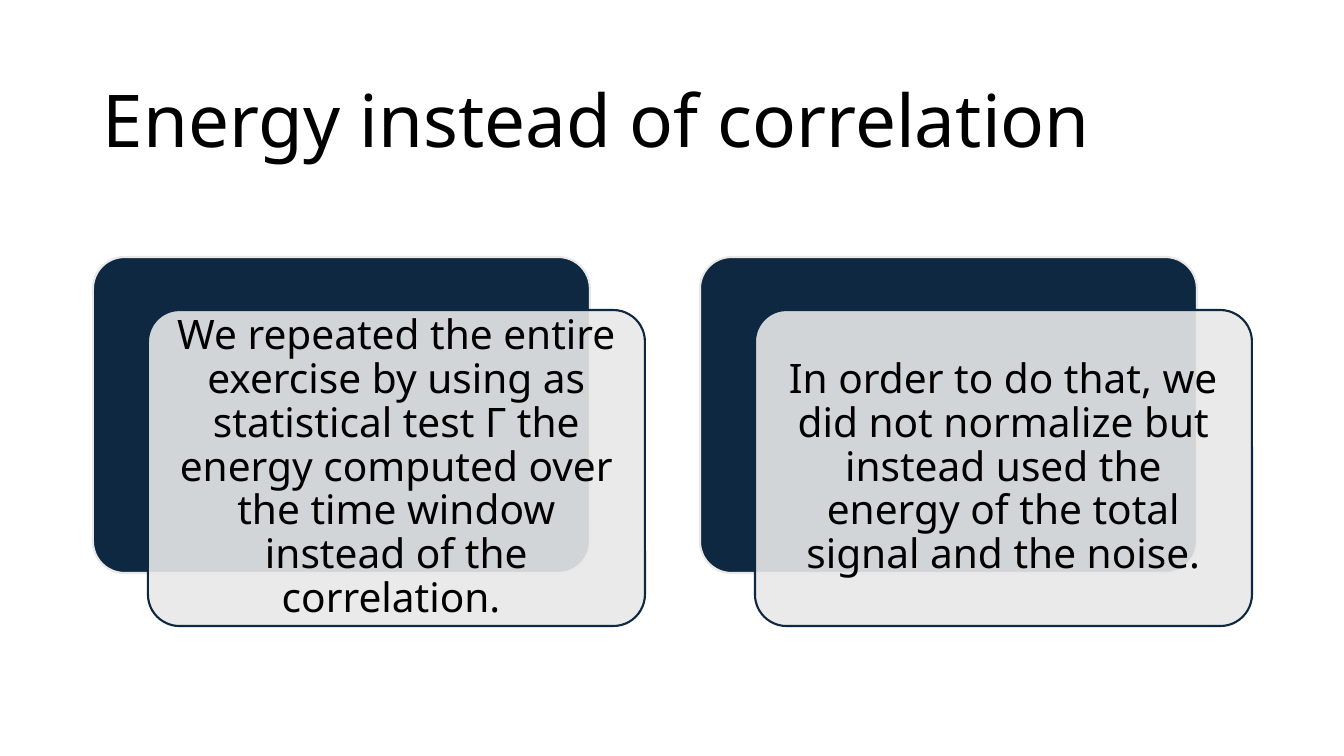
from lxml.etree import SubElement
from pptx import Presentation
from pptx.dml.color import RGBColor
from pptx.enum.shapes import MSO_SHAPE as Shape
from pptx.enum.text import MSO_ANCHOR as Anchor, PP_ALIGN as Align
from pptx.oxml.ns import qn
from pptx.util import Emu, Pt

TITLE = "Energy instead of correlation"
CARDS = [
    "We repeated the entire exercise by using as statistical test Γ the "
    "energy computed over the time window instead of the correlation. ",
    "In order to do that, we did not normalize but instead used the "
    "energy of the total signal and the noise.",
]

FONT = "Noto Sans"
BLACK = RGBColor(0x00, 0x00, 0x00)
NAVY = RGBColor(0x0E, 0x28, 0x41)
GREY = RGBColor(0xE8, 0xE8, 0xE8)

WIDE, HIGH = 1344, 756
LEFT, TOP = 93, 257
CARD_W, CARD_H = 497, 316
STEP = 607
SHIFT_X, SHIFT_Y = 55, 53
INSET = 9
PAD = 12


def px(n):
    return Emu(round(n * 914400 / 100.8))


def add_panel(slide, x, y, fill, line, alpha=100):
    """Draw one rounded card; alpha is its opacity in percent."""
    panel = slide.shapes.add_shape(
        Shape.ROUNDED_RECTANGLE, px(x), px(y), px(CARD_W), px(CARD_H))
    panel.adjustments[0] = 0.1
    panel.shadow.inherit = False
    panel.fill.solid()
    panel.fill.fore_color.rgb = fill
    panel.line.color.rgb = line
    panel.line.width = Pt(1.5)
    if alpha < 100:
        color = panel.fill._xPr.find(qn("a:solidFill"))[0]
        SubElement(color, qn("a:alpha"), val=str(alpha * 1000))


def add_text(slide, box, text, size, align, pad_x, pad_y):
    frame = slide.shapes.add_textbox(*map(px, box)).text_frame
    frame.word_wrap = True
    frame.vertical_anchor = Anchor.MIDDLE
    frame.margin_left = frame.margin_right = px(pad_x)
    frame.margin_top = frame.margin_bottom = px(pad_y)
    frame.text = text
    para = frame.paragraphs[0]
    para.alignment = align
    para.line_spacing = 0.9
    font = para.runs[0].font
    font.name = FONT
    font.size = Pt(size)
    font.color.rgb = BLACK


def main():
    deck = Presentation()
    deck.slide_width, deck.slide_height = px(WIDE), px(HIGH)
    slide = deck.slides.add_slide(deck.slide_layouts[6])
    add_text(slide, (LEFT, 61, 1159, 125), TITLE, 52, Align.LEFT, 10, 5)
    for i, text in enumerate(CARDS):
        x = LEFT + i * STEP
        front_x, front_y = x + SHIFT_X, TOP + SHIFT_Y
        add_panel(slide, x, TOP, NAVY, GREY)
        add_panel(slide, front_x, front_y, GREY, NAVY, alpha=90)
        box = (front_x + INSET, front_y + INSET,
               CARD_W - 2 * INSET, CARD_H - 2 * INSET)
        add_text(slide, box, text, 29, Align.CENTER, PAD, PAD)
    deck.save("out.pptx")


if __name__ == "__main__":
    main()
